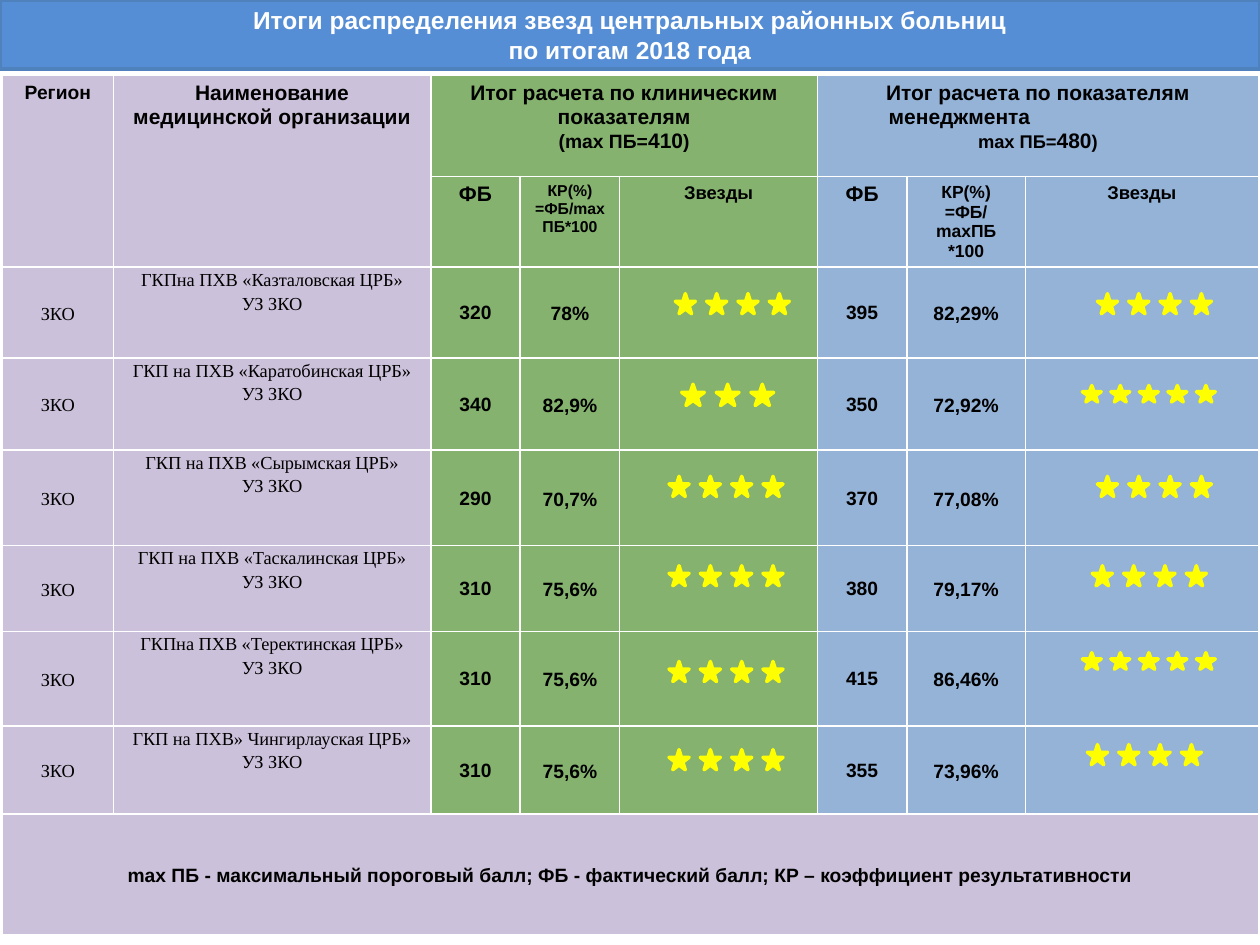
from dataclasses import dataclass

from lxml import etree
from pptx import Presentation
from pptx.dml.color import RGBColor
from pptx.enum import shapes, text
from pptx.oxml import ns
from pptx.util import Pt

COLORS = {"title": "558ED5", "title_line": "4F81BD", "lilac": "CCC1DA",
          "green": "85B26E", "blue": "95B3D7", "star": "FFFF00",
          "white": "FFFFFF", "black": "000000"}
COLUMN_FILLS = ["lilac"] * 2 + ["green"] * 3 + ["blue"] * 3
COLUMN_WIDTHS = [63.4, 181.4, 51.1, 56.9, 113, 51.1, 67.7, 133.2]
ROW_HEIGHTS = [57.6, 49, 51.8, 52.6, 54.7, 49, 54, 50.4, 69.1]
MERGES = [(0, 0, 1, 0), (0, 1, 1, 1), (0, 2, 0, 4), (0, 5, 0, 7), (8, 0, 8, 7)]
PLAIN, SCORE, BODY = (7.2, 3.6, 7.2, 3.6), (0.7, 0.7, 0.7, 0), (5, 0, 5, 0)


@dataclass
class Line:
    runs: list[tuple[str, float]]
    font: str = "Arial"
    bold: bool = True
    color: str = "black"
    spacing: float = 1.0
    indent: float = 0


@dataclass
class Hospital:
    name: str
    clinical: tuple[str, str]
    management: tuple[str, str]


@dataclass
class StarStyle:
    width: float
    height: float
    step: float


@dataclass
class StarRow:
    left: float
    top: float
    count: int
    style: StarStyle


LARGE = StarStyle(13, 12.2, 19.8)
MEDIUM = StarStyle(11.5, 11.5, 17.9)
SMALL = StarStyle(10.8, 9.4, 16.3)

HEADERS = {
    (0, 0): [Line([("Регион", 11)])],
    (0, 1): [Line([("Наименование медицинской организации", 12)])],
    (0, 2): [Line([("Итог расчета по клиническим показателям", 12)]),
             Line([("(mах ПБ=", 11), ("410", 12), (")", 11)])],
    (0, 5): [Line([("Итог расчета по показателям", 12)]),
             Line([("менеджмента", 12)], indent=33.5),
             Line([("mах ПБ=", 10.5), ("480", 12), (")", 10.5)])],
    (1, 2): [Line([("ФБ", 12)])],
    (1, 3): [Line([("КР(%)", 9)]), Line([("=ФБ/mах ПБ*100", 9)])],
    (1, 4): [Line([("Звезды", 10.5)])],
    (1, 5): [Line([("ФБ", 12)])],
    (1, 6): [Line([("КР(%)", 10)]), Line([("=ФБ/mахПБ *100", 10)])],
    (1, 7): [Line([("Звезды", 10.5)])],
}
HOSPITALS = [
    Hospital("ГКПна ПХВ «Казталовская ЦРБ»", ("320", "78%"), ("395", "82,29%")),
    Hospital("ГКП на ПХВ «Каратобинская ЦРБ»", ("340", "82,9%"), ("350", "72,92%")),
    Hospital("ГКП на ПХВ «Сырымская ЦРБ»", ("290", "70,7%"), ("370", "77,08%")),
    Hospital("ГКП на ПХВ «Таскалинская ЦРБ»", ("310", "75,6%"), ("380", "79,17%")),
    Hospital("ГКПна ПХВ «Теректинская ЦРБ»", ("310", "75,6%"), ("415", "86,46%")),
    Hospital("ГКП на ПХВ» Чингирлауская ЦРБ»", ("310", "75,6%"), ("355", "73,96%")),
]
FOOTNOTE = ("mах ПБ - максимальный пороговый балл; ФБ - фактический балл; "
            "КР – коэффициент результативности")
STAR_ROWS = [
    StarRow(385.9, 167.8, 4, MEDIUM), StarRow(627.1, 167.8, 4, MEDIUM),
    StarRow(389.5, 219.6, 3, LARGE), StarRow(618.5, 220.3, 5, SMALL),
    StarRow(382.3, 272.2, 4, MEDIUM), StarRow(627.1, 272.2, 4, MEDIUM),
    StarRow(382.3, 323.3, 4, MEDIUM), StarRow(624.2, 323.3, 4, MEDIUM),
    StarRow(382.3, 378, 4, MEDIUM), StarRow(618.5, 373, 5, SMALL),
    StarRow(382.3, 428.4, 4, MEDIUM), StarRow(621.4, 425.5, 4, MEDIUM),
]


def rgb(name: str) -> RGBColor:
    return RGBColor.from_string(COLORS[name])


def apply(obj, values: dict) -> None:
    for name, value in values.items():
        setattr(obj, name, value)


def write(tf, lines: list[Line]) -> None:
    for i, line in enumerate(lines):
        p = tf.paragraphs[0] if i == 0 else tf.add_paragraph()
        apply(p, {"alignment": text.PP_ALIGN.LEFT if line.indent else text.PP_ALIGN.CENTER,
                  "line_spacing": line.spacing})
        if line.indent:
            p._p.get_or_add_pPr().set("marL", str(Pt(line.indent)))
        for part, size in line.runs:
            for j, piece in enumerate(part.split("\n")):
                if j:
                    p.add_line_break()
                r = p.add_run()
                r.text = piece
                apply(r.font, {"size": Pt(size), "name": line.font, "bold": line.bold})
                r.font.color.rgb = rgb(line.color)


def paint(sp, fill: str, line: str) -> None:
    sp.shadow.inherit = False
    sp.fill.solid()
    sp.fill.fore_color.rgb = rgb(fill)
    sp.line.color.rgb = rgb(line)
    sp.line.width = Pt(2)


def style_cell(cell, fill: str) -> None:
    tcPr = cell._tc.get_or_add_tcPr()
    for side in ("lnL", "lnR", "lnT", "lnB"):
        ln = etree.SubElement(tcPr, ns.qn(f"a:{side}"), w=str(Pt(1)))
        solid = etree.SubElement(ln, ns.qn("a:solidFill"))
        etree.SubElement(solid, ns.qn("a:srgbClr"), val=COLORS["white"])
    cell.fill.solid()
    cell.fill.fore_color.rgb = rgb(fill)


def fill_cell(cell, lines: list[Line], margins: tuple = PLAIN, middle: bool = False) -> None:
    sides = ("margin_left", "margin_top", "margin_right", "margin_bottom")
    apply(cell, {side: Pt(m) for side, m in zip(sides, margins)})
    cell.vertical_anchor = text.MSO_ANCHOR.MIDDLE if middle else text.MSO_ANCHOR.TOP
    write(cell.text_frame, lines)


def serif(words: str) -> Line:
    return Line([(words, 10.5)], "Times New Roman", False, spacing=1.15)


def add_title(s) -> None:
    sp = s.shapes.add_shape(shapes.MSO_SHAPE.RECTANGLE, 0, 0, Pt(720), Pt(39.6))
    paint(sp, "title", "title_line")
    apply(sp.text_frame, {"word_wrap": True, "vertical_anchor": text.MSO_ANCHOR.MIDDLE})
    title = "Итоги распределения звезд центральных районных больниц\nпо итогам 2018 года"
    write(sp.text_frame, [Line([(title, 14)], color="white")])


def add_results(s) -> None:
    table = s.shapes.add_table(len(ROW_HEIGHTS), len(COLUMN_WIDTHS), Pt(1.4), Pt(43.2),
                               Pt(sum(COLUMN_WIDTHS)), Pt(sum(ROW_HEIGHTS))).table
    apply(table, {"first_row": False, "horz_banding": False})
    for column, width in zip(table.columns, COLUMN_WIDTHS):
        column.width = Pt(width)
    for row, height in zip(table.rows, ROW_HEIGHTS):
        row.height = Pt(height)
    last = len(ROW_HEIGHTS) - 1
    for i in range(len(ROW_HEIGHTS)):
        for j, fill in enumerate(COLUMN_FILLS):
            style_cell(table.cell(i, j), "lilac" if i == last else fill)
    for top, left, bottom, right in MERGES:
        table.cell(top, left).merge(table.cell(bottom, right))
    for (i, j), lines in HEADERS.items():
        fill_cell(table.cell(i, j), lines)
    for i, hospital in enumerate(HOSPITALS, 2):
        fill_cell(table.cell(i, 0), [serif("ЗКО")], BODY, True)
        fill_cell(table.cell(i, 1), [serif(hospital.name), serif("УЗ ЗКО")], BODY)
        for j, (score, ratio) in ((2, hospital.clinical), (5, hospital.management)):
            fill_cell(table.cell(i, j), [Line([(score, 11)])], SCORE, True)
            fill_cell(table.cell(i, j + 1), [Line([(ratio, 11)], spacing=1.15)], BODY, True)
    fill_cell(table.cell(last, 0), [Line([(FOOTNOTE, 11)], spacing=1.15)], BODY, True)


def add_stars(s, row: StarRow) -> None:
    group = s.shapes.add_group_shape()
    for i in range(row.count):
        sp = group.shapes.add_shape(shapes.MSO_SHAPE.STAR_5_POINT,
                                    Pt(row.left + i * row.style.step), Pt(row.top),
                                    Pt(row.style.width), Pt(row.style.height))
        paint(sp, "star", "star")


def main() -> None:
    prs = Presentation()
    apply(prs, {"slide_width": Pt(720), "slide_height": Pt(540)})
    s = prs.slides.add_slide(prs.slide_layouts[6])
    add_title(s)
    add_results(s)
    for row in STAR_ROWS:
        add_stars(s, row)
    prs.save("out.pptx")


if __name__ == "__main__":
    main()
